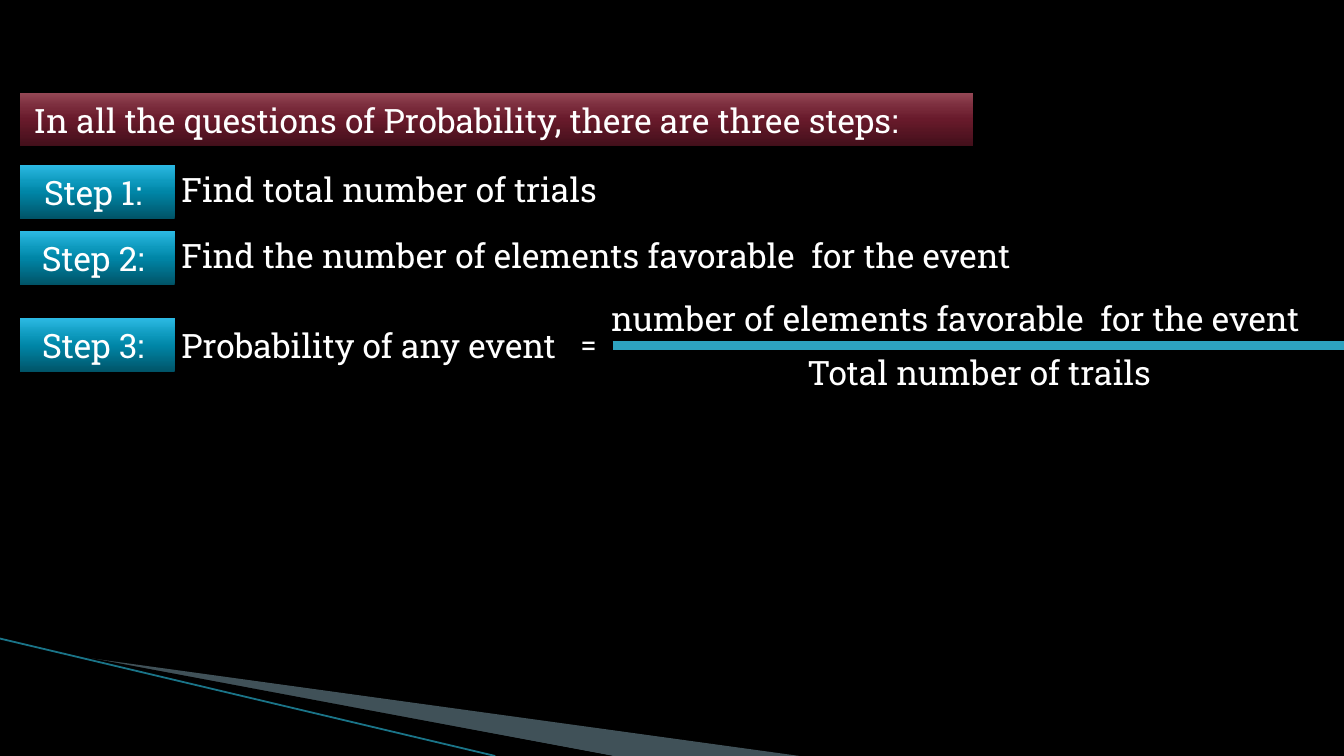
import pptx
import pptx.dml.color
import pptx.enum.shapes
import pptx.enum.text
import pptx.oxml
import pptx.oxml.ns
import pptx.util
from dataclasses import dataclass

Cm = pptx.util.Cm
Pt = pptx.util.Pt
PP_ALIGN = pptx.enum.text.PP_ALIGN
NS = pptx.oxml.ns.nsdecls("a")
qn = pptx.oxml.ns.qn


@dataclass(frozen=True)
class Theme:
    font: str = "Roboto Slab"
    body: int = 18
    sign: int = 16
    back: str = "000000"
    text: str = "FFFFFF"
    bar: str = "2DA2BF"
    ray: str = "1A7488"
    wedge: str = "A0CBDC"
    # Gradients run from the bottom edge to the top edge
    wine: tuple = ((0, "420F1A"), (50, "681A2B"), (70, "772939"), (100, "944755"))
    teal: tuple = ((0, "005367"), (50, "0086A7"), (70, "0E9ABE"), (100, "2CB9E3"))


THEME = Theme()


def rgb(value):
    return pptx.dml.color.RGBColor.from_string(value)


def gradient(sp, stops):
    sp.fill.gradient()
    sp.fill.gradient_angle = 90
    gs_list = sp._element.spPr.find(qn("a:gradFill")).find(qn("a:gsLst"))
    for gs in list(gs_list):
        gs_list.remove(gs)
    for pos, color in stops:
        gs_list.append(pptx.oxml.parse_xml(
            f'<a:gs {NS} pos="{pos * 1000}"><a:srgbClr val="{color}"/></a:gs>'))


def write(sp, text, size=THEME.body, align=PP_ALIGN.LEFT, wrap=True):
    tf = sp.text_frame
    tf.word_wrap = wrap
    tf.auto_size = pptx.enum.text.MSO_AUTO_SIZE.NONE
    p = tf.paragraphs[0]
    p.alignment = align
    r = p.add_run()
    r.text = text
    r.font.name = THEME.font
    r.font.size = Pt(size)
    r.font.color.rgb = rgb(THEME.text)


def label(s, text, left, top, width, height, size=THEME.body):
    sp = s.shapes.add_textbox(Cm(left), Cm(top), Cm(width), Cm(height))
    write(sp, text, size)


def line(s, x1, y1, x2, y2, color, weight):
    sp = s.shapes.add_connector(pptx.enum.shapes.MSO_CONNECTOR.STRAIGHT,
                                Cm(x1), Cm(y1), Cm(x2), Cm(y2))
    sp.line.color.rgb = rgb(color)
    sp.line.width = Pt(weight)
    sp._element.spPr.append(pptx.oxml.parse_xml(f"<a:effectLst {NS}/>"))


def polygon(s, points, color, alpha=100):
    start, *rest = [(Cm(x), Cm(y)) for x, y in points]
    builder = s.shapes.build_freeform(*start)
    builder.add_line_segments(rest, close=True)
    sp = builder.convert_to_shape()
    sp.shadow.inherit = False
    sp.fill.solid()
    sp.fill.fore_color.rgb = rgb(color)
    sp.line.fill.background()
    if alpha < 100:
        clr = sp._element.spPr.find(qn("a:solidFill"))[0]
        clr.append(pptx.oxml.parse_xml(f'<a:alpha {NS} val="{alpha * 1000}"/>'))


def add_corner(s, left, top, width, height):
    """Rays that fan out from the left edge to the bottom edge."""
    bottom = top + height
    polygon(s, [(left + 1.4, top + 0.33), (left + width, bottom),
                (left + 11.58, bottom)], THEME.wedge, 40)
    polygon(s, [(left + 1.35, top + 0.3), (left + 11.58, bottom),
                (left + 9.45, bottom), (left + 1.37, top + 0.33)], THEME.back)
    line(s, left, top, left + 9.36, bottom, THEME.ray, 0.95)


def add_banner(s, text, left, top, width, height):
    sp = s.shapes.title
    sp.left, sp.top, sp.width, sp.height = map(Cm, (left, top, width, height))
    gradient(sp, THEME.wine)
    sp.text_frame.vertical_anchor = pptx.enum.text.MSO_ANCHOR.MIDDLE
    write(sp, text)


def add_step(s, tag, text, left, top, width, height, lift=0):
    """A tag, with its sentence to the right, raised by lift."""
    tag_width = 2.92
    sp = s.shapes.add_shape(pptx.enum.shapes.MSO_SHAPE.RECTANGLE,
                            Cm(left), Cm(top), Cm(tag_width), Cm(height))
    sp.shadow.inherit = False
    gradient(sp, THEME.teal)
    sp.line.fill.background()
    write(sp, tag, align=PP_ALIGN.CENTER, wrap=False)
    text_left = tag_width - 0.12
    label(s, text, left + text_left, top - lift, width - text_left, height)


def add_fraction(s, above, below, left, top, width, height):
    """An equals sign and a fraction, its bar halfway down the box."""
    middle = top + height / 2
    row = height / 2
    label(s, "=", left, middle - 0.48, 0.86, 0.94, THEME.sign)
    label(s, above, left + 0.58, top, width - 0.58, row)
    line(s, left + 0.86, middle, left + width, middle, THEME.bar, 5)
    label(s, below, left + 4.29, middle, 9.6, row)


def main():
    prs = pptx.Presentation()
    prs.slide_width, prs.slide_height = Cm(25.4), Cm(14.29)
    s = prs.slides.add_slide(prs.slide_layouts[5])
    s.background.fill.solid()
    s.background.fill.fore_color.rgb = rgb(THEME.back)

    add_corner(s, 0, 12.07, 15.11, 2.22)
    left, row = 0.38, 1.02
    add_banner(s, "In all the questions of Probability, there are three steps:",
               left, 1.75, 18.01, row)
    steps = [
        ("Find total number of trials", 3.12, 11.61, 0.05),
        ("Find the number of elements favorable  for the event", 4.37, 20, 0.05),
        ("Probability of any event", 6.02, 10.67, 0),
    ]
    for number, (text, top, width, lift) in enumerate(steps, 1):
        add_step(s, f"Step {number}: ", text, left, top, width, row, lift)
    add_fraction(s, "number of elements favorable  for the event",
                 "Total number of trails", 10.72, 5.51, 14.68, 2 * row)
    prs.save("out.pptx")


if __name__ == "__main__":
    main()
